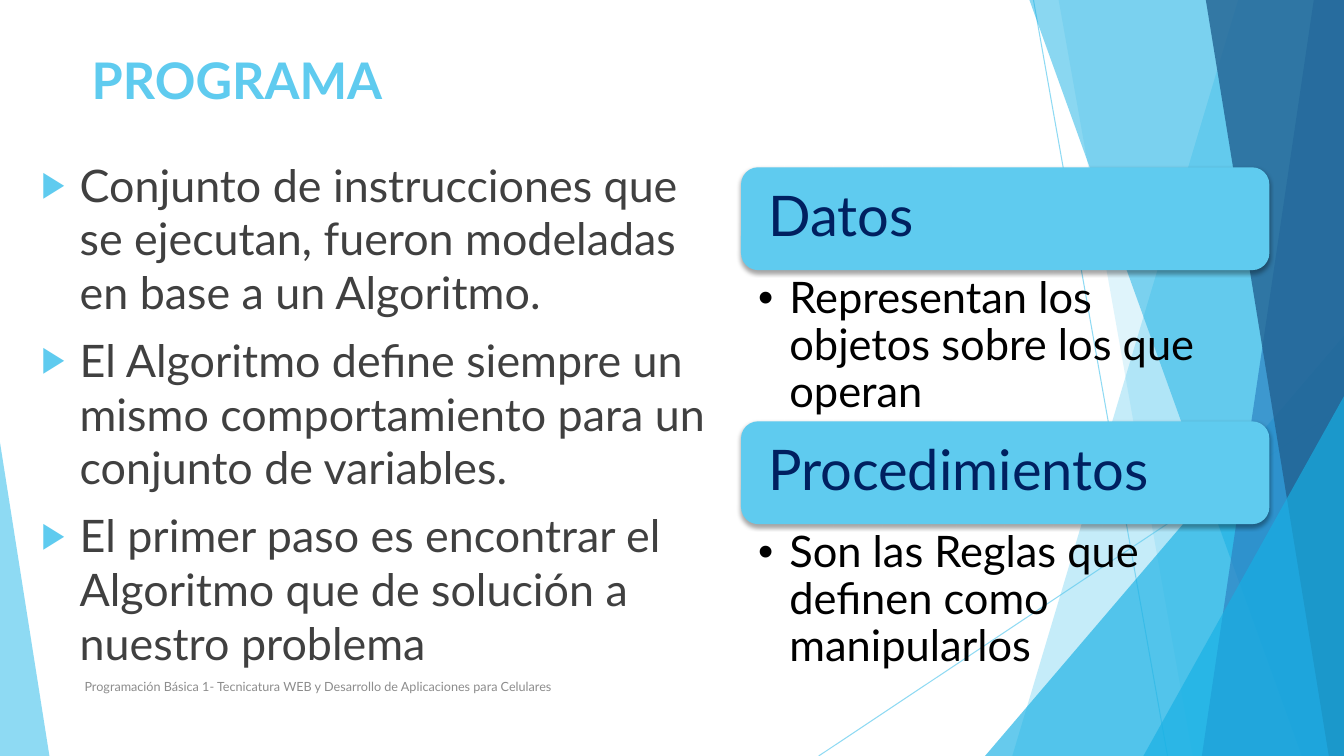
"""Build the PROGRAMA slide with its faceted backdrop and two labelled cards."""
from dataclasses import dataclass

import lxml.etree
import pptx
import pptx.dml.color
import pptx.enum.shapes
import pptx.enum.text
import pptx.oxml.ns
import pptx.util

Inches = pptx.util.Inches
Pt = pptx.util.Pt
qn = pptx.oxml.ns.qn
Shape = pptx.enum.shapes.MSO_SHAPE
Anchor = pptx.enum.text.MSO_ANCHOR
WIDE, HIGH = 13.33, 7.5
FONT = "Lato"
SKY, CYAN, BLUE, DEEP = "5FCBEF", "17B0E4", "2E83C3", "226292"
NAVY, DARK, GREY, BLACK = "002060", "404040", "8C8C8C", "000000"


@dataclass
class Band:
    top: float
    base: float
    hue: str
    alpha: int


@dataclass
class Wedge:
    left: float
    top: float
    width: float
    tip: int
    hue: str
    alpha: int


@dataclass
class Ray:
    start: tuple[float, float]
    end: tuple[float, float]


@dataclass
class Card:
    head: str
    note: str


RAYS = [Ray((10.25, 0), (11.58, HIGH)), Ray((WIDE, 4.03), (8.12, HIGH))]
FACETS = [
    Band(12.28, 10.04, SKY, 36),
    Band(10.5, 11.83, SKY, 20),
    Wedge(9.77, 3.33, 3.56, 1, CYAN, 66),
    Band(10.21, 12.91, CYAN, 50),
    Band(13.03, 11.92, BLUE, 70),
    Band(11.96, 13.18, DEEP, 80),
    Wedge(11.34, 3.93, 1.99, 1, CYAN, 66),
    Wedge(0, 4.39, 0.49, 0, SKY, 70),
]
POINTS = [
    "Conjunto de instrucciones que se ejecutan, fueron modeladas en base a un Algoritmo.",
    "El Algoritmo define siempre un mismo comportamiento para un conjunto de variables.",
    "El primer paso es encontrar el Algoritmo que de solución a nuestro problema",
]
CARDS = [
    Card("Datos", "Representan los objetos sobre los que operan"),
    Card("Procedimientos", "Son las Reglas que definen como manipularlos"),
]
FOOT = "Programación Básica 1- Tecnicatura WEB y Desarrollo de Aplicaciones para Celulares"


def tint(text: str) -> pptx.dml.color.RGBColor:
    """Turn a hex string into a colour."""
    return pptx.dml.color.RGBColor.from_string(text)


def node(parent, tag: str, **attrs):
    """Append an XML child and return it."""
    return lxml.etree.SubElement(parent, qn(tag), {k: str(v) for k, v in attrs.items()})


def fade(shape, alpha: int) -> None:
    """Set the opacity of the colour of a shape in percent."""
    node(shape.element.spPr.find(".//" + qn("a:srgbClr")), "a:alpha", val=alpha * 1000)


def paint(shape, hue: str) -> None:
    """Fill a shape plainly, without line or shadow."""
    shape.shadow.inherit = False
    shape.fill.solid()
    shape.fill.fore_color.rgb = tint(hue)
    shape.line.fill.background()


def place(shape, left: float, top: float, width: float, height: float) -> None:
    """Move and size a shape in inches."""
    shape.left, shape.top = Inches(left), Inches(top)
    shape.width, shape.height = Inches(width), Inches(height)


def write(para, text: str, size: float, hue: str, bold: bool = False) -> None:
    """Add one formatted run."""
    run = para.add_run()
    run.text = text
    run.font.name, run.font.size, run.font.bold = FONT, Pt(size), bold
    run.font.color.rgb = tint(hue)


def mark(para, sign: str, dent: float, hue: str, size: int) -> None:
    """Give a paragraph a hanging bullet."""
    props = para._p.get_or_add_pPr()
    props.set("marL", str(Inches(dent)))
    props.set("indent", str(-Inches(dent)))
    node(node(props, "a:buClr"), "a:srgbClr", val=hue)
    node(props, "a:buSzPct", val=size * 1000)
    node(props, "a:buFont", typeface="Arial")
    node(props, "a:buChar", char=sign)


def frame(shape, pads: tuple[float, float, float, float], anchor=Anchor.TOP):
    """Set up the text frame of a shape and return it."""
    text = shape.text_frame
    text.word_wrap = True
    text.auto_size = pptx.enum.text.MSO_AUTO_SIZE.NONE
    text.vertical_anchor = anchor
    text.margin_left, text.margin_top, text.margin_right, text.margin_bottom = map(Inches, pads)
    return text


def draw_ray(slide, ray: Ray) -> None:
    """Draw one thin line of the backdrop."""
    line = slide.shapes.add_connector(
        pptx.enum.shapes.MSO_CONNECTOR.STRAIGHT, *map(Inches, ray.start + ray.end))
    line.line.color.rgb = tint(SKY)
    line.line.width = Pt(0.75)
    fade(line, 70)
    node(line.element.spPr, "a:effectLst")


def draw_facet(slide, facet: Band | Wedge) -> None:
    """Draw one translucent facet of the backdrop."""
    if isinstance(facet, Band):
        pen = slide.shapes.build_freeform(Inches(facet.top), 0)
        ends = [(WIDE, 0), (WIDE, HIGH), (facet.base, HIGH)]
        pen.add_line_segments([(Inches(x), Inches(y)) for x, y in ends])
        shape = pen.convert_to_shape()
    else:
        shape = slide.shapes.add_shape(
            Shape.ISOSCELES_TRIANGLE, Inches(facet.left), Inches(facet.top),
            Inches(facet.width), Inches(HIGH - facet.top))
        shape.adjustments[0] = facet.tip
    paint(shape, facet.hue)
    fade(shape, facet.alpha)


def draw_card(slide, card: Card, top: float) -> None:
    """Draw a rounded heading with its bulleted note below."""
    left, width, tall = 7.35, 5.24, 1.02
    box = slide.shapes.add_shape(
        Shape.ROUNDED_RECTANGLE, Inches(left), Inches(top), Inches(width), Inches(tall))
    paint(box, SKY)
    glow = node(box.element.spPr.find(qn("a:effectLst")), "a:outerShdw",
                blurRad=Pt(3), dist=Pt(2), dir=90 * 60000, rotWithShape=0)
    node(node(glow, "a:srgbClr", val=BLACK), "a:alpha", val=35000)
    para = frame(box, (0.22, 0.22, 0.22, 0.22), Anchor.MIDDLE).paragraphs[0]
    para.alignment = pptx.enum.text.PP_ALIGN.LEFT
    para.line_spacing = 0.9
    write(para, card.head, 40, NAVY)

    note = slide.shapes.add_textbox(
        Inches(left), Inches(top + tall), Inches(width), Inches(1.49))
    para = frame(note, (0.17, 0.06, 0.31, 0.06)).paragraphs[0]
    para.line_spacing = 0.9
    mark(para, "•", 0.31, BLACK, 100)
    write(para, card.note, 31, BLACK)


def main() -> None:
    """Build and save the slide."""
    deck = pptx.Presentation()
    deck.slide_width, deck.slide_height = Inches(WIDE), Inches(HIGH)
    slide = deck.slides.add_slide(deck.slide_layouts[1])
    for ray in RAYS:
        draw_ray(slide, ray)
    for facet in FACETS:
        draw_facet(slide, facet)

    pads = (0.1, 0.05, 0.1, 0.05)
    title, body = slide.placeholders
    place(title, 0.81, 0.44, 3.55, 1.44)
    para = frame(title, pads).paragraphs[0]
    para.alignment = pptx.enum.text.PP_ALIGN.LEFT
    write(para, "PROGRAMA", 36, SKY, True)

    place(body, 0.31, 1.51, 6.95, 5.86)
    text = frame(body, pads)
    for i, point in enumerate(POINTS):
        para = text.add_paragraph() if i else text.paragraphs[0]
        para.space_before = Pt(10)
        mark(para, "▶", 0.38, SKY, 80)
        write(para, point, 32, DARK)

    for i, card in enumerate(CARDS):
        draw_card(slide, card, 1.66 + i * 2.52)

    foot = slide.shapes.add_textbox(Inches(0.74), Inches(6.61), Inches(6.89), Inches(0.4))
    write(frame(foot, pads, Anchor.MIDDLE).paragraphs[0], FOOT, 9, GREY)
    deck.save("out.pptx")


if __name__ == "__main__":
    main()
